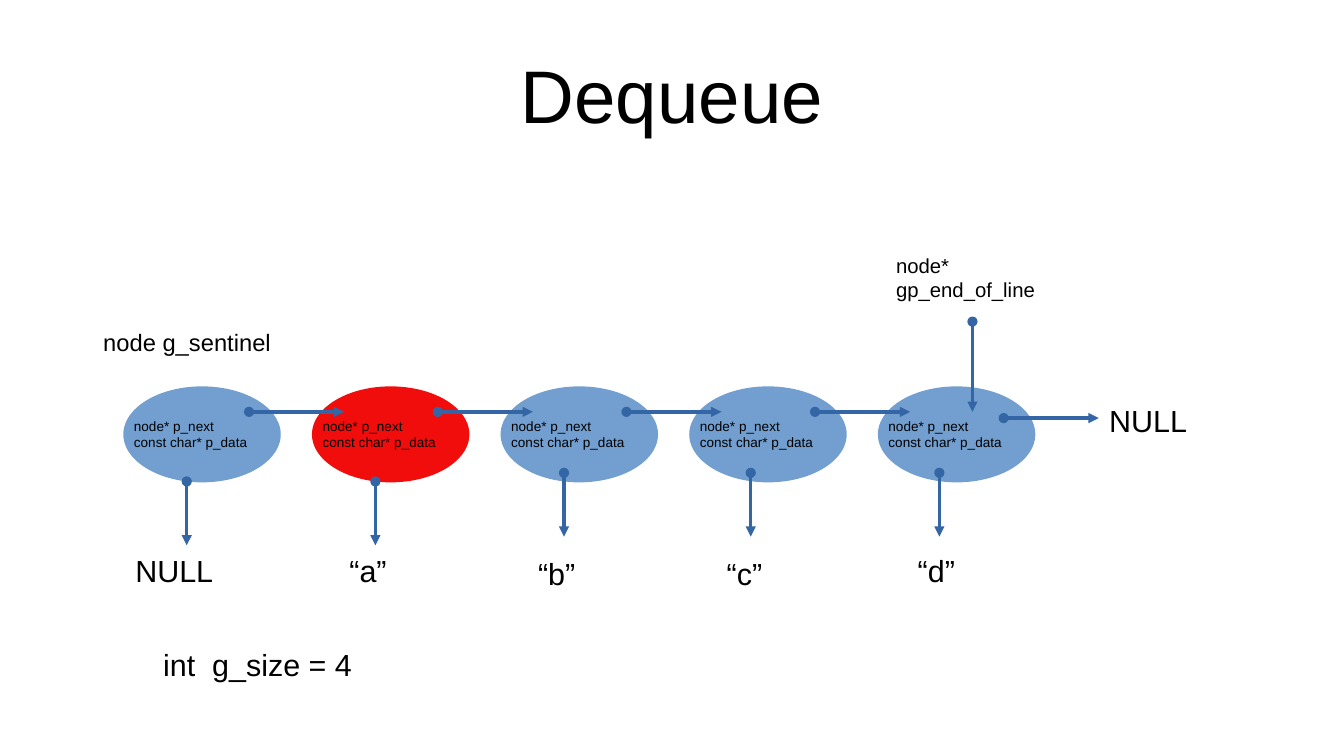
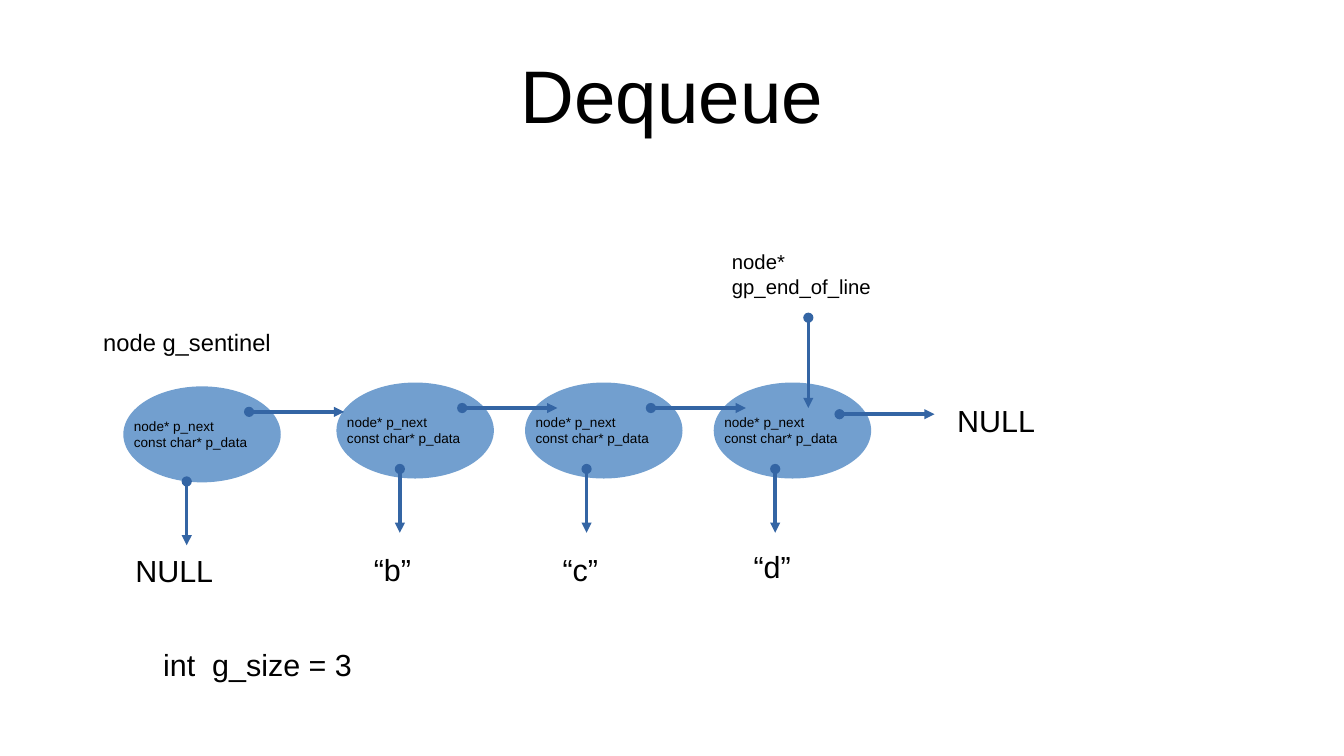
"""Build two slides showing a linked-list queue before and after a dequeue."""
from dataclasses import dataclass

from pptx import Presentation
from pptx.dml.color import RGBColor
from pptx.enum.shapes import MSO_CONNECTOR, MSO_SHAPE
from pptx.enum.text import MSO_ANCHOR, PP_ALIGN
from pptx.oxml.ns import qn
from pptx.util import Cm, Pt
from lxml.etree import SubElement


@dataclass(frozen=True)
class Theme:
    font: str = "Arial"
    text: RGBColor = RGBColor(0x00, 0x00, 0x00)
    node: RGBColor = RGBColor(0x72, 0x9F, 0xCF)
    removed: RGBColor = RGBColor(0xF1, 0x0D, 0x0C)
    arrow: RGBColor = RGBColor(0x34, 0x65, 0xA4)
    title_size: int = 44
    value_size: int = 18
    sentinel_size: int = 14
    end_size: int = 12
    field_size: int = 8


@dataclass(frozen=True)
class Node:
    value: str
    pointer_left: float
    pointer_top: float
    value_top: float
    value_shift: float = 0
    indent: float = 0.53


THEME = Theme()

SENTINEL = Node("NULL", 1.32, 1.98, 3.33, indent=0)
NODE_A = Node("“a”", 1.32, 1.98, 3.33)
NODE_B = Node("“b”", 1.32, 1.8, 3.38)
NODE_C = Node("“c”", 1.28, 1.8, 3.38)
NODE_D = Node("“d”", 1.28, 1.8, 3.33, value_shift=0.05)

SLIDES = [
    {"queue": [NODE_A, NODE_B, NODE_C, NODE_D], "removed": NODE_A,
     "first": (6.5, 8.05), "null_left": 22.86, "size": "int  g_size = 4"},
    {"queue": [NODE_B, NODE_C, NODE_D], "removed": None,
     "first": (7.01, 7.97), "null_left": 19.69, "size": "int  g_size = 3"},
]

TITLE = "Dequeue"
FIELDS = ["node* p_next", "const char* p_data"]
SENTINEL_NAME = "node g_sentinel"
END_NAME = ["node*", "gp_end_of_line"]

SENTINEL_PLACE = (2.57, 8.05)
NODE_WIDTH, NODE_HEIGHT = 3.28, 2
NODE_PITCH = 3.93
NEXT_LEFT, NEXT_LENGTH = 2.62, 1.98
NEXT_TOP, LAST_NEXT_TOP = 0.53, 0.66
DATA_LENGTH = 1.33


def add_runs(text_frame, lines, size):
    for index, line in enumerate(lines):
        paragraph = text_frame.paragraphs[0] if index == 0 else text_frame.add_paragraph()
        run = paragraph.add_run()
        run.text = line
        run.font.name = THEME.font
        run.font.size = Pt(size)
        run.font.color.rgb = THEME.text


def add_title(slide):
    title = slide.shapes.title
    title.left, title.top, title.width, title.height = Cm(1.4), Cm(0.63), Cm(25.2), Cm(2.63)
    text_frame = title.text_frame
    text_frame.margin_left = text_frame.margin_right = 0
    text_frame.margin_top = text_frame.margin_bottom = 0
    text_frame.vertical_anchor = MSO_ANCHOR.MIDDLE
    add_runs(text_frame, [TITLE], THEME.title_size)
    text_frame.paragraphs[0].alignment = PP_ALIGN.CENTER


def add_label(slide, lines, size, left, top, width, height, indent=0):
    label = slide.shapes.add_textbox(Cm(left), Cm(top), Cm(width), Cm(height))
    text_frame = label.text_frame
    text_frame.word_wrap = True
    text_frame.margin_left = Cm(0.25 + indent)
    add_runs(text_frame, lines, size)


def add_arrow(slide, left, top, across=0, down=0):
    arrow = slide.shapes.add_connector(
        MSO_CONNECTOR.STRAIGHT, Cm(left), Cm(top), Cm(left + across), Cm(top + down))
    arrow.line.color.rgb = THEME.arrow
    arrow.line.width = Pt(0)
    properties = arrow._element.spPr
    line = properties.find(qn("a:ln"))
    SubElement(line, qn("a:headEnd"), type="oval")
    SubElement(line, qn("a:tailEnd"), type="triangle")
    SubElement(properties, qn("a:effectLst"))


def add_node(slide, node, left, top, color):
    ellipse = slide.shapes.add_shape(
        MSO_SHAPE.OVAL, Cm(left), Cm(top), Cm(NODE_WIDTH), Cm(NODE_HEIGHT))
    ellipse.shadow.inherit = False
    ellipse.fill.solid()
    ellipse.fill.fore_color.rgb = color
    ellipse.line.fill.background()
    add_label(slide, FIELDS, THEME.field_size, left - 0.03, top + 0.53, 3.3, 1.27)
    add_label(slide, [node.value], THEME.value_size, left + node.value_shift,
              top + node.value_top, 2.62, 1.32, node.indent)


def add_end_marker(slide, left, top):
    add_label(slide, END_NAME, THEME.end_size, left + 0.13, top - 2.9, 3.81, 1.19)
    add_arrow(slide, left + 1.97, top - 1.35, down=1.88)


def build_slide(presentation, content):
    slide = presentation.slides.add_slide(presentation.slide_layouts[5])
    add_title(slide)
    first_left, queue_top = content["first"]
    places = [(SENTINEL, *SENTINEL_PLACE)]
    places += [(node, first_left + index * NODE_PITCH, queue_top)
               for index, node in enumerate(content["queue"])]

    for node, left, top in places:
        color = THEME.removed if node is content["removed"] else THEME.node
        add_node(slide, node, left, top, color)
    for node, left, top in places:
        next_top = LAST_NEXT_TOP if node is places[-1][0] else NEXT_TOP
        add_arrow(slide, left + NEXT_LEFT, top + next_top, across=NEXT_LENGTH)
        add_arrow(slide, left + node.pointer_left, top + node.pointer_top, down=DATA_LENGTH)

    add_end_marker(slide, *places[-1][1:])
    add_label(slide, [SENTINEL_NAME], THEME.sentinel_size, 1.9, 6.7, 4.6, 1.32)
    add_label(slide, ["NULL"], THEME.value_size, content["null_left"], 8.26, 2.54, 0.97)
    add_label(slide, [content["size"]], THEME.value_size, 3.15, 13.34, 5, 0.97)


def main():
    presentation = Presentation()
    presentation.slide_width, presentation.slide_height = Cm(28), Cm(15.75)
    for content in SLIDES:
        build_slide(presentation, content)
    presentation.save("out.pptx")


if __name__ == "__main__":
    main()
